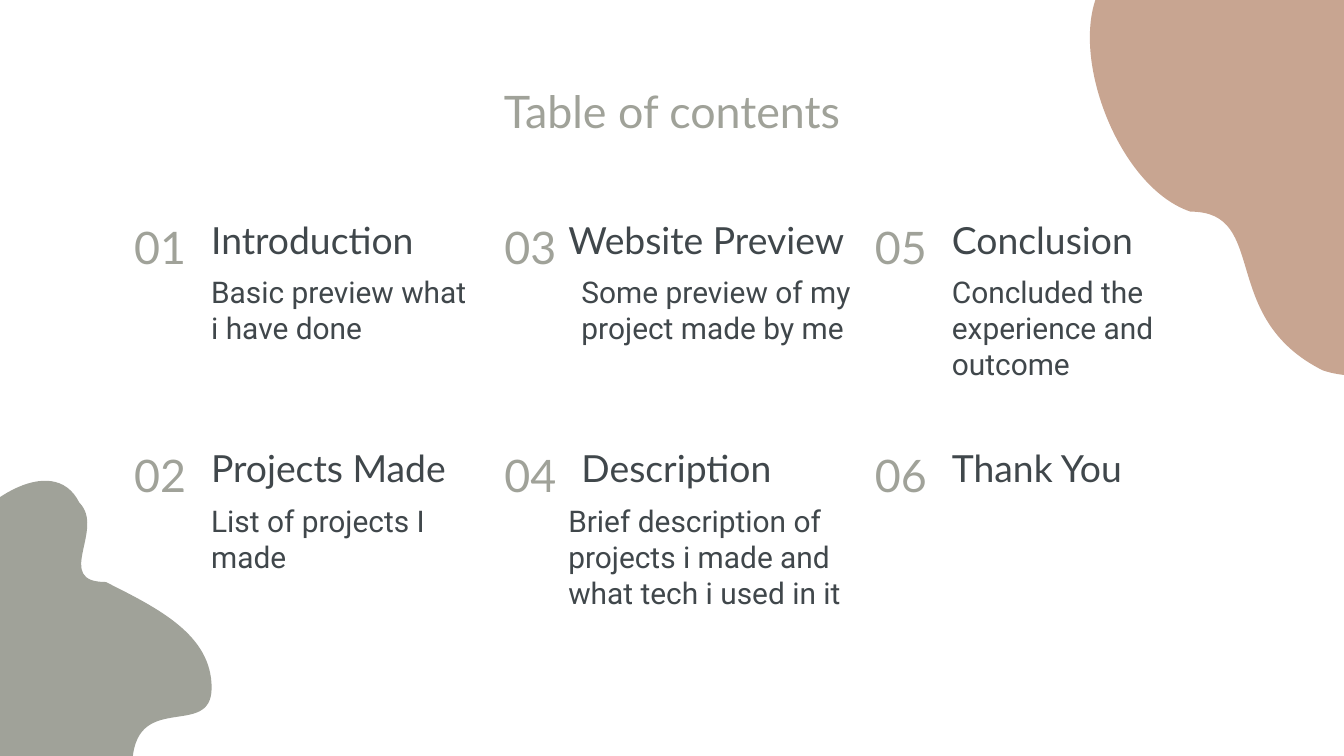
from dataclasses import dataclass

from lxml.etree import SubElement
from pptx import Presentation
from pptx.dml.color import RGBColor
from pptx.enum.text import MSO_ANCHOR as Anchor, MSO_AUTO_SIZE as AutoSize, PP_ALIGN as Align
from pptx.oxml.ns import qn
from pptx.slide import Slide
from pptx.text.text import TextFrame
from pptx.util import Cm, Pt

SAGE, CLAY, SLATE = "A0A299", "C8A591", "40474B"
Point = tuple[float, float]

# Grid of the contents, in cm
COLUMN_PITCH, ROW_PITCH = 14.0, 8.64
NUMBER_LEFT, NUMBER_TOP, NUMBER_WIDTH = 4.65, 8.3, 2.8
ENTRY_LEFT, HEADING_TOP, DETAIL_TOP = 7.98, 8.2, 10.36
ENTRY_WIDTH, LINE_HEIGHT = 10.19, 1.7
OUTDENT = 0.5


@dataclass(frozen=True)
class TextStyle:
    font: str
    size: int
    color: str
    align: Align = Align.LEFT


@dataclass(frozen=True)
class Entry:
    heading: str
    detail: str = ""
    heading_outdent: float = 0
    detail_outdent: float = 0


@dataclass(frozen=True)
class Blob:
    color: str
    start: Point
    curves: list[tuple[Point, Point, Point]]  # two handles and an end point, in cm


TITLE = TextStyle("Lato", 48, SAGE, Align.CENTER)
HEADING = TextStyle("Lato", 40, SLATE)
DETAIL = TextStyle("Roboto", 32, SLATE)

# Listed down each column
ENTRIES = [
    Entry("Introduction", "Basic preview what i have done"),
    Entry("Projects Made", "List of projects I made"),
    Entry("Website Preview", "Some preview of my project made by me", heading_outdent=OUTDENT),
    Entry("Description", "Brief description of projects i made and what tech i used in it",
          detail_outdent=OUTDENT),
    Entry("Conclusion", "Concluded the experience and outcome"),
    Entry("Thank You"),
]

BLOBS = [
    Blob(CLAY, (51.92, -3.33), [
        ((53.44, -2.59), (55.12, -1.7), (54.31, 0.05)),
        ((53.49, 1.78), (50.57, 5.72), (52.5, 6.5)),
        ((54.43, 7.29), (57.02, 7.19), (56.9, 9.42)),
        ((56.77, 11.66), (52.88, 15.32), (49.5, 13.67)),
        ((46.13, 12.01), (48.41, 8.46), (45.06, 7.59)),
        ((41.73, 6.73), (40.18, 0.81), (41.81, -0.91)),
        ((43.41, -2.64), (50.39, -4.06), (51.92, -3.33)),
    ]),
    Blob(SAGE, (2.77, 18.69), [
        ((3.58, 20.14), (1.6, 21.54), (3.94, 22.48)),
        ((6.27, 23.42), (7.62, 24.03), (7.8, 26.01)),
        ((7.98, 27.99), (5.11, 26.26), (4.8, 28.65)),
        ((4.5, 31.01), (0.41, 30.45), (-0.58, 27.94)),
        ((-1.57, 25.4), (-2.64, 23.22), (-1.68, 21.03)),
        ((-0.69, 18.77), (1.96, 17.25), (2.77, 18.69)),
    ]),
]


def rgb(color: str) -> RGBColor:
    return RGBColor.from_string(color)


def write(frame: TextFrame, text: str, style: TextStyle) -> None:
    frame.word_wrap = True
    frame.auto_size = AutoSize.NONE
    frame.vertical_anchor = Anchor.TOP
    frame.margin_left = frame.margin_right = frame.margin_top = frame.margin_bottom = 0
    paragraph = frame.paragraphs[0]
    paragraph.alignment = style.align
    paragraph.line_spacing = Pt(style.size * 1.2)
    run = paragraph.add_run()
    run.text = text
    run.font.name = style.font
    run.font.size = Pt(style.size)
    run.font.color.rgb = rgb(style.color)


def add_text(slide: Slide, text: str, style: TextStyle,
             left: float, top: float, width: float, lines: int = 1) -> None:
    box = slide.shapes.add_textbox(Cm(left), Cm(top), Cm(width), Cm(LINE_HEIGHT * lines))
    write(box.text_frame, text, style)


def add_blob(slide: Slide, blob: Blob) -> None:
    builder = slide.shapes.build_freeform(*blob.start, scale=Cm(1))
    builder.add_line_segments([point for curve in blob.curves for point in curve])
    outline = builder.convert_to_shape()
    outline.shadow.inherit = False
    outline.fill.solid()
    outline.fill.fore_color.rgb = rgb(blob.color)
    outline.line.fill.background()

    # Turn every three straight segments into one Bézier curve
    geometry = next(outline.element.iter(qn("a:path")))
    segments = geometry.findall(qn("a:lnTo"))
    for first in range(0, len(segments), 3):
        curve = SubElement(geometry, qn("a:cubicBezTo"))
        segments[first].addprevious(curve)
        for segment in segments[first:first + 3]:
            curve.append(segment[0])
            geometry.remove(segment)


def add_entry(slide: Slide, index: int, entry: Entry) -> None:
    column, row = divmod(index, 2)
    x, y = column * COLUMN_PITCH, row * ROW_PITCH
    left = ENTRY_LEFT + x
    add_text(slide, f"{index + 1:02}", TITLE, NUMBER_LEFT + x, NUMBER_TOP + y, NUMBER_WIDTH)
    add_text(slide, entry.heading, HEADING, left - entry.heading_outdent, HEADING_TOP + y,
             ENTRY_WIDTH + 2 * entry.heading_outdent)
    if entry.detail:
        add_text(slide, entry.detail, DETAIL, left - entry.detail_outdent, DETAIL_TOP + y,
                 ENTRY_WIDTH + entry.detail_outdent, lines=2)


def main() -> None:
    deck = Presentation()
    deck.slide_width, deck.slide_height = Cm(50.8), Cm(28.575)
    slide = deck.slides.add_slide(deck.slide_layouts.get_by_name("Title Only"))

    # Background shapes
    for blob in BLOBS:
        add_blob(slide, blob)

    # Title
    title = slide.shapes.title
    title.left, title.top, title.width, title.height = Cm(4.22), Cm(3.15), Cm(42.36), Cm(2.5)
    write(title.text_frame, "Table of contents", TITLE)

    # Contents
    for index, entry in enumerate(ENTRIES):
        add_entry(slide, index, entry)

    deck.save("out.pptx")


if __name__ == "__main__":
    main()
